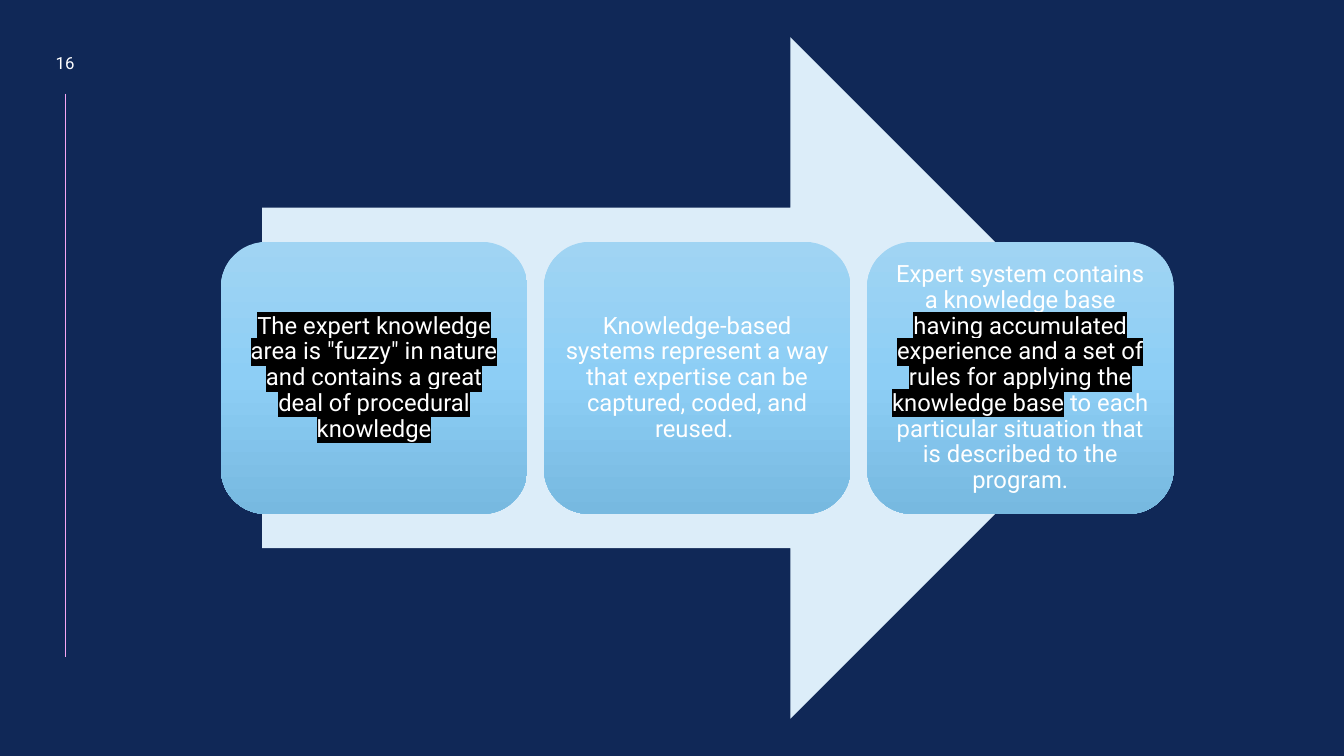
from dataclasses import dataclass

from lxml.etree import SubElement
from pptx import Presentation
from pptx.dml.color import RGBColor
from pptx.enum.shapes import MSO_CONNECTOR, MSO_SHAPE
from pptx.enum.text import MSO_ANCHOR, PP_ALIGN
from pptx.oxml import parse_xml
from pptx.oxml.ns import nsdecls, qn
from pptx.util import Inches, Pt

WIDTH, HEIGHT = 13.33, 7.5
COLUMNS = ROWS = 100

NAVY = "102857"
WHITE = "FFFFFF"
BLACK = "000000"
PALE_BLUE = "DCEDF9"
RULE = "F6A6F4"
CARD_STOPS = ((0, "A0D4F3"), (50, "8DCEF5"), (100, "77B9E0"))


@dataclass(frozen=True)
class Area:
    left: float
    top: float
    width: float
    height: float

    def place(self) -> tuple:
        return across(self.left), down(self.top), across(self.width), down(self.height)


@dataclass(frozen=True)
class Span:
    text: str
    highlight: str | None = None


CARDS = (
    (Span('The expert knowledge area is "fuzzy" in nature and contains '
          "a great deal of procedural knowledge", BLACK),),
    (Span("Knowledge-based systems represent a way that expertise can be "
          "captured, coded, and reused. "),),
    (Span("Expert system contains a knowledge base "),
     Span("having accumulated experience and a set of rules for applying "
          "the knowledge base", BLACK),
     Span(" to each particular situation that is described to the program.")),
)
FIRST_CARD = Area(16.43, 32, 22.81, 36)
CARD_PITCH = 24.04


def across(columns: float) -> int:
    return Inches(WIDTH * columns / COLUMNS)


def down(rows: float) -> int:
    return Inches(HEIGHT * rows / ROWS)


def colour(value: str) -> RGBColor:
    return RGBColor.from_string(value)


def write(box, *spans: Span, size: float, inset: float = 0.1,
          line_spacing: float = 1.0, space_after: float = 0) -> None:
    frame = box.text_frame
    frame.word_wrap = True
    frame.vertical_anchor = MSO_ANCHOR.MIDDLE
    frame.margin_left = frame.margin_right = Inches(inset)
    frame.margin_top = frame.margin_bottom = Inches(min(inset, 0.07))
    para = frame.paragraphs[0]
    para.alignment = PP_ALIGN.CENTER
    para.line_spacing = line_spacing
    para.space_after = Pt(space_after)
    for span in spans:
        run = para.add_run()
        run.text = span.text
        run.font.size = Pt(size)
        run.font.color.rgb = colour(WHITE)
        if span.highlight:
            properties = run.font._element
            mark = SubElement(properties, qn("a:highlight"))
            SubElement(mark, qn("a:srgbClr"), val=span.highlight)
        run.font.name = "Roboto"


def add_plain_shape(page, kind: MSO_SHAPE, area: Area):
    shape = page.shapes.add_shape(kind, *area.place())
    shape.shadow.inherit = False
    shape.line.fill.background()
    return shape


def add_arrow(page, area: Area) -> None:
    arrow = add_plain_shape(page, MSO_SHAPE.RIGHT_ARROW, area)
    arrow.fill.solid()
    arrow.fill.fore_color.rgb = colour(PALE_BLUE)


def add_card(page, area: Area, spans: tuple[Span, ...]) -> None:
    card = add_plain_shape(page, MSO_SHAPE.ROUNDED_RECTANGLE, area)
    card.fill.gradient()
    card.fill.gradient_angle = 270
    stops = card._element.spPr.find(qn("a:gradFill")).find(qn("a:gsLst"))
    stops.clear()
    for percent, value in CARD_STOPS:
        stops.append(parse_xml(
            f'<a:gs {nsdecls("a")} pos="{percent * 1000}"><a:srgbClr val="{value}"/></a:gs>'))
    write(card, *spans, size=17, inset=0.07, line_spacing=0.9, space_after=6)


def add_rule(page, column: float, top: float, bottom: float) -> None:
    rule = page.shapes.add_connector(
        MSO_CONNECTOR.STRAIGHT, across(column), down(top), across(column), down(bottom))
    rule.line.color.rgb = colour(RULE)
    rule.line.width = Pt(0.5)
    SubElement(rule._element.spPr, qn("a:effectLst"))


def add_page_number(page, area: Area, number: str) -> None:
    box = page.shapes.add_textbox(*area.place())
    write(box, Span(number), size=12)


def main() -> None:
    deck = Presentation()
    deck.slide_width, deck.slide_height = Inches(WIDTH), Inches(HEIGHT)
    page = deck.slides.add_slide(deck.slide_layouts[6])
    page.background.fill.solid()
    page.background.fill.fore_color.rgb = colour(NAVY)

    add_rule(page, 4.88, 12.4, 86.93)
    add_page_number(page, Area(2.7, 6, 4.28, 4.53), "16")
    add_arrow(page, Area(19.5, 4.93, 64.67, 90.13))
    for index, spans in enumerate(CARDS):
        left = FIRST_CARD.left + index * CARD_PITCH
        add_card(page, Area(left, FIRST_CARD.top, FIRST_CARD.width, FIRST_CARD.height), spans)
    deck.save("out.pptx")


if __name__ == "__main__":
    main()
